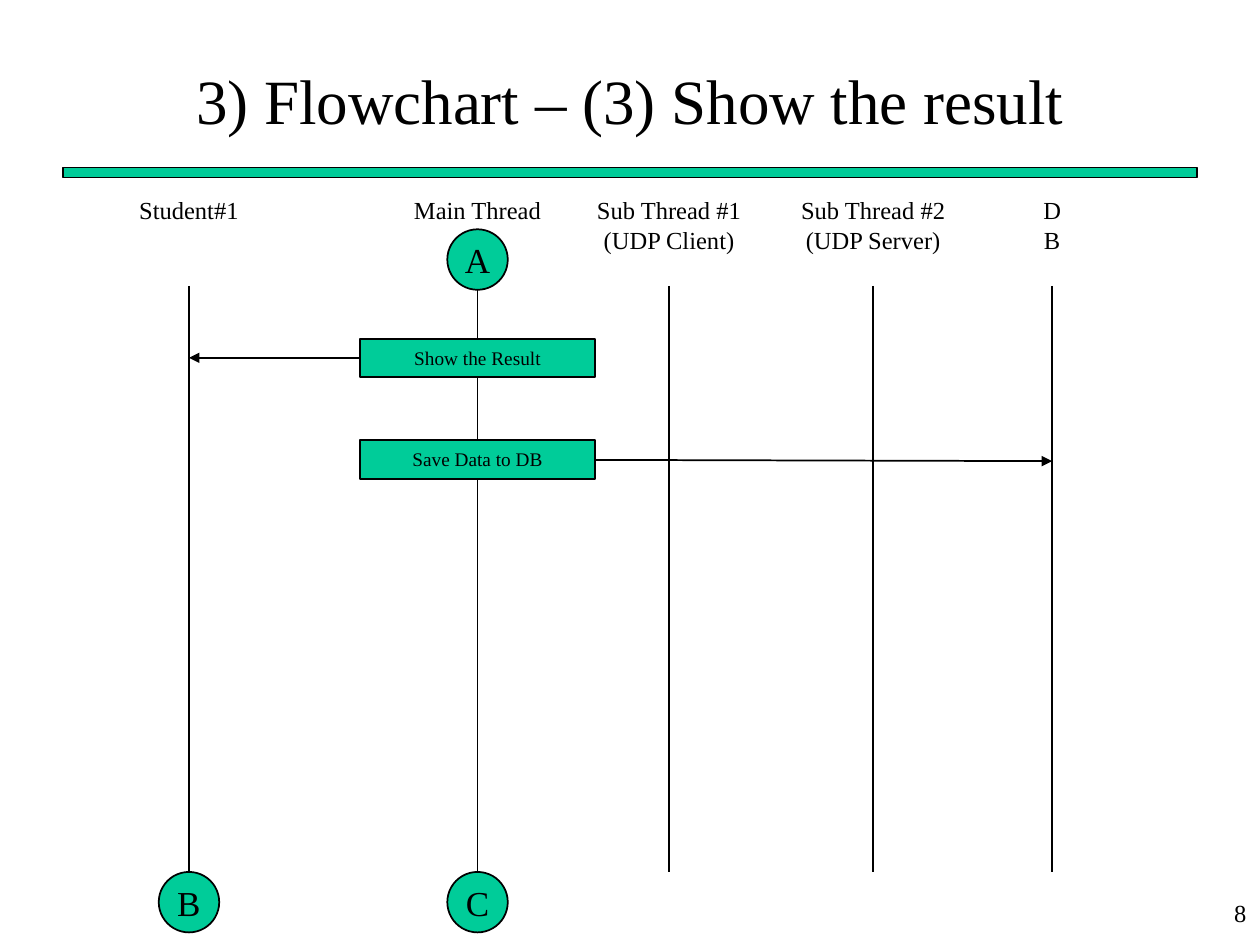
import dataclasses

import lxml.etree
import pptx
import pptx.dml.color
import pptx.enum.shapes
import pptx.enum.text
import pptx.oxml.ns
import pptx.util

Inches = pptx.util.Inches
SHAPES = pptx.enum.shapes.MSO_SHAPE
ALIGN = pptx.enum.text.PP_ALIGN
ANCHOR = pptx.enum.text.MSO_ANCHOR

FONT = "Times New Roman"
GREEN = "00CC99"
BLACK = "000000"
LABEL_TOP = 1.5
LIFELINE_TOP = 2.27
LIFELINE_BOTTOM = 6.92
CIRCLE_SIZE = 0.48
STEP_WIDTH = 1.87


@dataclasses.dataclass
class Participant:
    center: float
    label: str
    width: float
    height: float = 0.34
    label_shift: float = 0
    wrap: bool = False


@dataclasses.dataclass
class Step:
    label: str
    top: float
    height: float


@dataclasses.dataclass
class Marker:
    letter: str
    center: float
    top: float


def rgb(color: str) -> pptx.dml.color.RGBColor:
    return pptx.dml.color.RGBColor.from_string(color)


def write_text(shape, text: str, *, size: float, align=ALIGN.CENTER,
               anchor=ANCHOR.TOP, wrap: bool = False) -> None:
    frame = shape.text_frame
    frame.text = text
    frame.word_wrap = wrap
    frame.vertical_anchor = anchor
    for paragraph in frame.paragraphs:
        paragraph.alignment = align
        for run in paragraph.runs:
            run.font.name = FONT
            run.font.size = pptx.util.Pt(size)
            run.font.color.rgb = rgb(BLACK)


def add_text(slide, text: str, left: float, top: float, width: float,
             height: float, **text_format) -> None:
    box = slide.shapes.add_textbox(
        Inches(left), Inches(top), Inches(width), Inches(height))
    write_text(box, text, **text_format)


def add_filled(slide, kind, left: float, top: float, width: float,
               height: float, line_width: float = 1):
    shape = slide.shapes.add_shape(
        kind, Inches(left), Inches(top), Inches(width), Inches(height))
    shape.shadow.inherit = False
    shape.fill.solid()
    shape.fill.fore_color.rgb = rgb(GREEN)
    shape.line.color.rgb = rgb(BLACK)
    shape.line.width = pptx.util.Pt(line_width)
    return shape


def add_line(slide, start: tuple[float, float], end: tuple[float, float],
             arrow: bool = False) -> None:
    connector = slide.shapes.add_connector(
        pptx.enum.shapes.MSO_CONNECTOR.STRAIGHT,
        *(Inches(value) for value in start + end))
    connector.line.color.rgb = rgb(BLACK)
    connector.line.width = pptx.util.Pt(1)
    properties = connector.element.spPr
    qualified = pptx.oxml.ns.qn
    if arrow:
        line = properties.find(qualified("a:ln"))
        lxml.etree.SubElement(line, qualified("a:tailEnd"), type="triangle")
    lxml.etree.SubElement(properties, qualified("a:effectLst"))


student = Participant(1.5, "Student#1", 1)
main_thread = Participant(3.79, "Main Thread", 1.21)
client = Participant(5.31, "Sub Thread #1\n(UDP Client)", 1.35, 0.57)
server = Participant(6.93, "Sub Thread #2\n(UDP Server)", 1.35, 0.57)
database = Participant(8.35, "DB", 0.45, wrap=True)
participants = [student, main_thread, client, server, database]

step_left = main_thread.center - STEP_WIDTH / 2
step_right = step_left + STEP_WIDTH
steps = [Step("Show the Result", 2.69, 0.3), Step("Save Data to DB", 3.49, 0.31)]
markers = [
    Marker("A", main_thread.center, 1.82),
    Marker("B", student.center, LIFELINE_BOTTOM),
    Marker("C", main_thread.center, LIFELINE_BOTTOM),
]

presentation = pptx.Presentation()
presentation.slide_width = Inches(10)
presentation.slide_height = Inches(7.5)
slide = presentation.slides.add_slide(presentation.slide_layouts[5])

# Title, rule and page number
title = slide.shapes.title
title.left, title.top = Inches(0.5), Inches(0.33)
title.width, title.height = Inches(9), Inches(0.92)
write_text(title, "3) Flowchart – (3) Show the result", size=36,
           anchor=ANCHOR.MIDDLE, wrap=True)
add_filled(slide, SHAPES.RECTANGLE, 0.5, 1.33, 9, 0.08, line_width=0.75)
add_text(slide, "8", 7.91, 7.08, 2.08, 0.42, size=14, align=ALIGN.RIGHT, wrap=True)

# Participants with their lifelines
for participant in participants:
    center = participant.center
    add_line(slide, (center, LIFELINE_TOP), (center, LIFELINE_BOTTOM))
    add_text(slide, participant.label, center - participant.width / 2, LABEL_TOP,
             participant.width, participant.height, size=14, wrap=participant.wrap)

# Messages
add_line(slide, (step_left, 2.84), (student.center, 2.84), arrow=True)
add_line(slide, (step_right, 3.65), (database.center, 3.66), arrow=True)

# Steps of the main thread
for step in steps:
    box = add_filled(slide, SHAPES.RECTANGLE, step_left, step.top,
                     STEP_WIDTH, step.height)
    write_text(box, step.label, size=11, anchor=ANCHOR.MIDDLE)

# Flow markers
for marker in markers:
    circle = add_filled(slide, SHAPES.FLOWCHART_CONNECTOR,
                        marker.center - CIRCLE_SIZE / 2, marker.top,
                        CIRCLE_SIZE, CIRCLE_SIZE)
    write_text(circle, marker.letter, size=20, anchor=ANCHOR.MIDDLE)

presentation.save("out.pptx")
